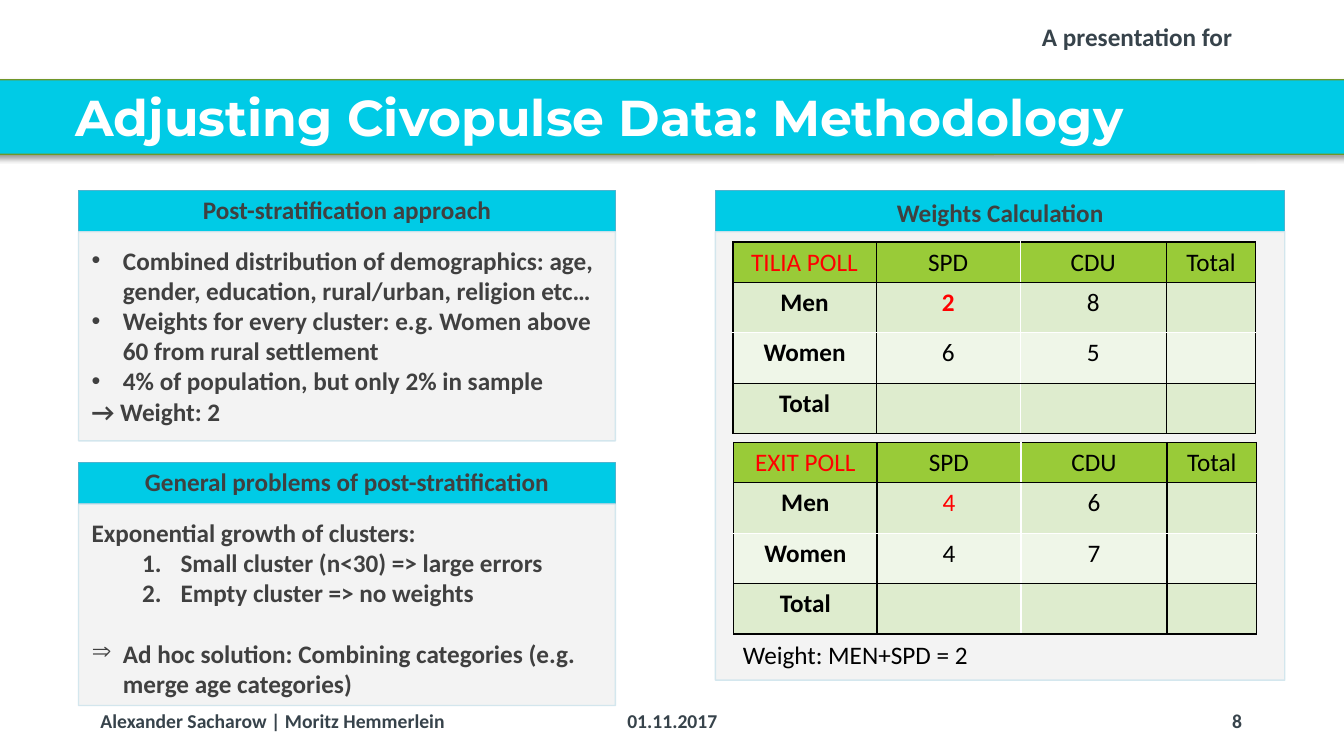
"""Build the slide on post-stratification weights."""
from lxml import etree
from pptx import Presentation
from pptx.dml.color import RGBColor
from pptx.enum.shapes import MSO_SHAPE
from pptx.enum.text import MSO_ANCHOR, PP_ALIGN
from pptx.oxml.ns import qn
from pptx.util import Cm, Pt

RECT, ROUND = MSO_SHAPE.RECTANGLE, MSO_SHAPE.ROUNDED_RECTANGLE
TOP, MID = MSO_ANCHOR.TOP, MSO_ANCHOR.MIDDLE
LEFT, MIDST, RIGHT = PP_ALIGN.LEFT, PP_ALIGN.CENTER, PP_ALIGN.RIGHT
CYAN = RGBColor(0x00, 0xCB, 0xE6)
OLIVE = RGBColor(0x71, 0x96, 0x29)
TEAL = RGBColor(0x4E, 0xB3, 0xCF)
PALE = RGBColor(0xD0, 0xE5, 0xED)
GREY = RGBColor(0xF2, 0xF2, 0xF2)
SLATE = RGBColor(0x37, 0x43, 0x4B)
DARK = RGBColor(0x40, 0x40, 0x40)
WHITE = RGBColor(0xFF, 0xFF, 0xFF)
BLACK = RGBColor(0x00, 0x00, 0x00)
RED = RGBColor(0xFF, 0x00, 0x00)
GREEN = RGBColor(0x99, 0xCB, 0x38)
MINT = RGBColor(0xDE, 0xEC, 0xCE)
FROST = RGBColor(0xEF, 0xF6, 0xE8)

BAND = (-0.71, 2.01, 34.93, 1.88)
LABELS = [
    ("A presentation for", (26.01, 0.41, 5.87, 1.02), TOP, LEFT,
     dict(size=Pt(18), color=SLATE)),
    ("Alexander Sacharow | Moritz Hemmerlein", (1.68, 17.65, 10.39, 1.02),
     MID, MIDST, dict(size=Pt(14), color=SLATE)),
    ("01.11.2017", (14.94, 17.65, 4.01, 1.02), MID, MIDST,
     dict(size=Pt(14), color=SLATE)),
    ("8", (23.93, 17.65, 7.62, 1.02), MID, RIGHT,
     dict(size=Pt(14), color=SLATE)),
    ("Adjusting Civopulse Data: Methodology", (1.65, 2.21, 29.21, 1.96),
     TOP, LEFT, dict(size=Pt(36), color=WHITE, name="Montserrat")),
]
CARDS = [
    ("Post-stratification approach", MID, (1.98, 4.8, 13.53, 5.27), [
        ("dot", "Combined distribution of demographics: age, gender, "
                "education, rural/urban, religion etc…"),
        ("dot", "Weights for every cluster: e.g. Women above 60 from "
                "rural settlement"),
        ("dot", "4% of population, but only 2% in sample"),
        ("plain", "→ Weight: 2")]),
    ("General problems of post-stratification", MID,
     (1.98, 11.66, 13.53, 5.08), [
         ("plain", "Exponential growth of clusters:"),
         ("count", "Small cluster (n<30) => large errors"),
         ("count", "Empty cluster => no weights"),
         ("arrow", "Ad hoc solution: Combining categories (e.g. merge age "
                   "categories)")]),
    ("Weights Calculation", TOP, (18.03, 4.8, 14.35, 11.3), []),
]
HEAD = 1.04
MARKS = {
    "dot": (0.79, 0.79, "buChar", {"char": "•"}, 0),
    "count": (2.24, 0.97, "buAutoNum", {"type": "arabicPeriod"}, 0),
    "arrow": (0.79, 0.79, "buChar", {"char": "⇒"}, 21.6),
}
POLLS = [
    ("TILIA POLL", 18.47, 6.1, ("2", "8"), ("6", "5"), True),
    ("EXIT POLL", 18.49, 11.15, ("4", "6"), ("4", "7"), False),
]
COLS = (3.61, 3.63, 3.68, 2.26)
ROWS = (0.94, 1.27, 1.27, 1.27)
FILLS = (GREEN, MINT, FROST, MINT)
RESULT = ("Weight: MEN+SPD = 2", (18.47, 15.98, 13.67, 1.02), TOP, LEFT,
          dict(size=Pt(18), color=BLACK, bold=False))


def node(base, tag, **attrs):
    return etree.SubElement(base, qn("a:" + tag), attrs)


def place(box):
    return [Cm(side) for side in box]


def write(para, text, align=LEFT, **look):
    para.alignment = align
    run = para.add_run()
    run.text = text
    look = {"name": "Calibri", "size": Pt(18), "bold": True, **look}
    run.font.color.rgb = look.pop("color")
    for key, val in look.items():
        setattr(run.font, key, val)


def label(slide, text, box, anchor, align, look):
    frame = slide.shapes.add_textbox(*place(box)).text_frame
    frame.word_wrap = True
    frame.vertical_anchor = anchor
    para = frame.paragraphs[0]
    write(para, text, align, **look)
    if look.get("name"):
        para.line_spacing = 0.9


def block(slide, kind, box, fill, edge):
    shape = slide.shapes.add_shape(kind, *place(box))
    shape.shadow.inherit = False
    shape.fill.solid()
    shape.fill.fore_color.rgb = fill
    shape.line.color.rgb = edge
    shape.line.width = Pt(1)
    return shape


def inset(shape, anchor, sides):
    frame = shape.text_frame
    frame.word_wrap = True
    frame.vertical_anchor = anchor
    for name, gap in zip(("left", "top", "right", "bottom"), sides):
        setattr(frame, "margin_" + name, Cm(gap))
    return frame


def band(slide):
    shape = block(slide, ROUND, BAND, CYAN, OLIVE)
    glow = shape._element.spPr.find(qn("a:effectLst"))
    cast = node(glow, "outerShdw", blurRad=str(Pt(4)), dist=str(Pt(2)),
                dir="5400000", rotWithShape="0")
    node(node(cast, "srgbClr", val=str(BLACK)), "alpha", val="40000")


def card(slide, title, anchor, box, lines):
    left, top, wide, tall = box
    head = block(slide, RECT, (left, top, wide, HEAD), CYAN, TEAL)
    frame = inset(head, anchor, (0.46, 0.25, 0.46, 0.25))
    write(frame.paragraphs[0], title, MIDST, color=DARK)
    frame.paragraphs[0].line_spacing = 0.9
    body = block(slide, RECT, (left, top + HEAD, wide, tall), GREY, PALE)
    for color in body._element.spPr.iter(qn("a:srgbClr")):
        node(color, "alpha", val="90000")
    frame = inset(body, TOP, (0.33, 0.33, 0.46, 0.51))
    for i, (kind, text) in enumerate(lines):
        para = frame.add_paragraph() if i else frame.paragraphs[0]
        write(para, text, color=DARK)
        if kind in MARKS:
            mar, hang, tag, attrs, gap = MARKS[kind]
            para.space_before = Pt(gap)
            props = para._p.get_or_add_pPr()
            props.set("marL", str(Cm(mar)))
            props.set("indent", str(-Cm(hang)))
            if kind == "dot":
                node(props, "buFont", typeface="Arial")
            node(props, tag, **attrs)


def edges(cell, row, col):
    props = cell._tc.get_or_add_tcPr()
    pale = {"lnL": col == 2, "lnR": col == 1,
            "lnT": row == 2, "lnB": row == 1}
    for tag, light in pale.items():
        line = node(props, tag, w=str(Pt(1)))
        color = WHITE if light else BLACK
        node(node(line, "solidFill"), "srgbClr", val=str(color))


def poll(slide, name, left, top, men, women, strong):
    data = [(name, "SPD", "CDU", "Total"), ("Men", *men, ""),
            ("Women", *women, ""), ("Total", "", "", "")]
    box = (left, top, sum(COLS), sum(ROWS))
    table = slide.shapes.add_table(len(ROWS), len(COLS), *place(box)).table
    for col, wide in zip(table.columns, COLS):
        col.width = Cm(wide)
    for r, (texts, tall, fill) in enumerate(zip(data, ROWS, FILLS)):
        table.rows[r].height = Cm(tall)
        for c, text in enumerate(texts):
            cell = table.cell(r, c)
            edges(cell, r, c)
            cell.fill.solid()
            cell.fill.fore_color.rgb = fill
            if text:
                key = (r, c) == (1, 1)
                write(cell.text_frame.paragraphs[0], text, MIDST,
                      color=RED if key or r == c == 0 else BLACK,
                      bold=strong if key else r > 0 and c == 0)


def main():
    deck = Presentation()
    deck.slide_width, deck.slide_height = Cm(33.87), Cm(19.05)
    slide = deck.slides.add_slide(deck.slide_layouts[6])
    band(slide)
    for item in LABELS:
        label(slide, *item)
    for item in CARDS:
        card(slide, *item)
    for item in POLLS:
        poll(slide, *item)
    label(slide, *RESULT)
    deck.save("out.pptx")


if __name__ == "__main__":
    main()
